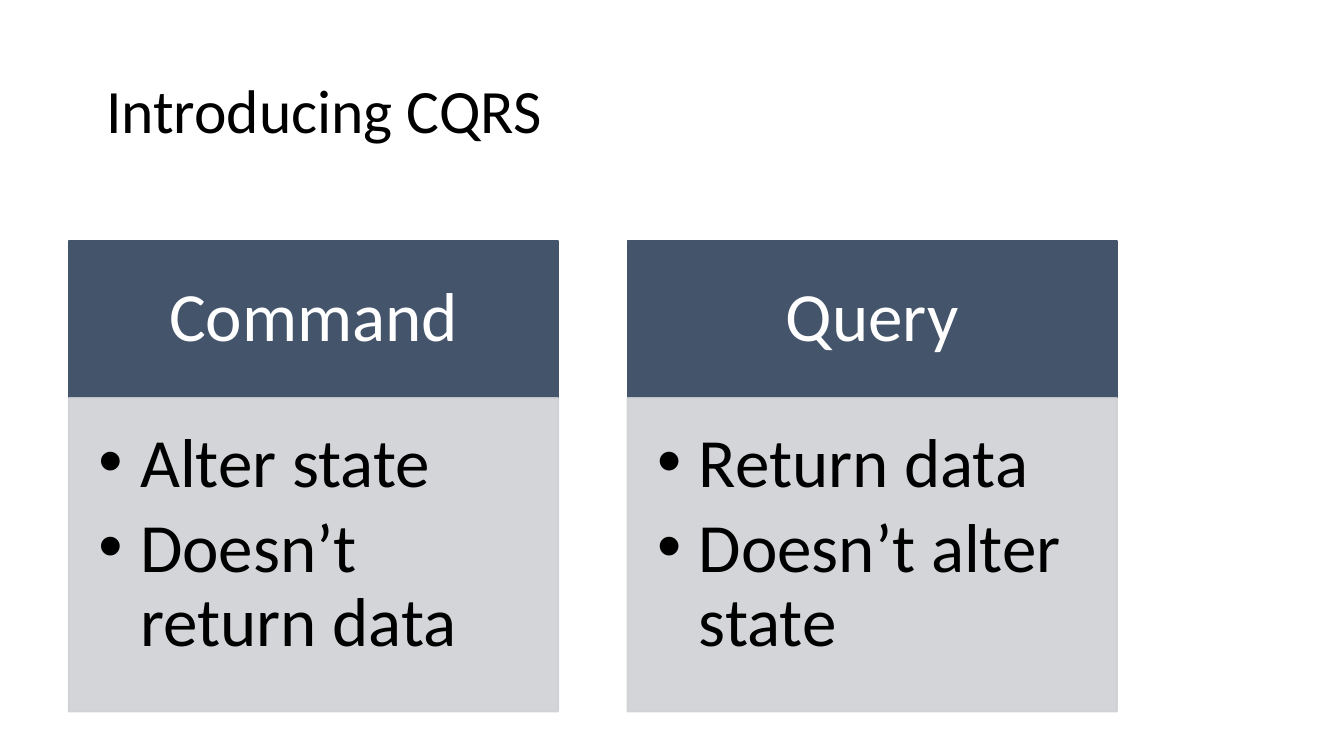
from lxml import etree
from pptx import Presentation
from pptx.dml.color import RGBColor
from pptx.enum.shapes import MSO_SHAPE
from pptx.enum.text import MSO_ANCHOR, MSO_AUTO_SIZE, PP_ALIGN
from pptx.oxml.ns import qn
from pptx.util import Cm, Pt

RECTANGLE = MSO_SHAPE.RECTANGLE
TOP, MIDDLE = MSO_ANCHOR.TOP, MSO_ANCHOR.MIDDLE
LEFT, CENTER = PP_ALIGN.LEFT, PP_ALIGN.CENTER
NO_AUTOFIT = MSO_AUTO_SIZE.NONE

SLATE = RGBColor(0x44, 0x54, 0x6A)
PALE = RGBColor(0xCF, 0xD1, 0xD4)
WHITE = RGBColor(0xFF, 0xFF, 0xFF)
BLACK = RGBColor(0x00, 0x00, 0x00)

COLUMNS = [
    ("Command", ["Alter state", "Doesn’t return data"]),
    ("Query", ["Return data", "Doesn’t alter state"]),
]


def format_paragraph(para, size, color, align, space_after=0):
    para.alignment = align
    para.line_spacing = 0.9
    para.space_before = Pt(0)
    para.space_after = Pt(space_after)
    para.font.name = "Calibri"
    para.font.size = Pt(size)
    para.font.color.rgb = color


def add_bullet(para, indent):
    properties = para._p.get_or_add_pPr()
    properties.set("marL", str(indent))
    properties.set("indent", str(-indent))
    etree.SubElement(properties, qn("a:buFont"), typeface="Arial")
    etree.SubElement(properties, qn("a:buChar"), char="•")


def set_opacity(shape, percent):
    for color in shape._element.spPr.iter(qn("a:srgbClr")):
        etree.SubElement(color, qn("a:alpha"), val=str(percent * 1000))


def add_panel(page, left, top, width, height, color, anchor, insets):
    panel = page.shapes.add_shape(RECTANGLE, left, top, width, height)
    panel.shadow.inherit = False
    panel.fill.solid()
    panel.fill.fore_color.rgb = color
    panel.line.color.rgb = color
    panel.line.width = Pt(1)
    frame = panel.text_frame
    frame.word_wrap = True
    frame.vertical_anchor = anchor
    frame.margin_left, frame.margin_top, frame.margin_right, frame.margin_bottom = insets
    return panel


def place_title(page, text, left, top, width, height):
    title = page.shapes.title
    title.left, title.top, title.width, title.height = left, top, width, height
    frame = title.text_frame
    frame.text = text
    frame.auto_size = NO_AUTOFIT
    frame.vertical_anchor = MIDDLE
    format_paragraph(frame.paragraphs[0], 33, BLACK, LEFT)


def add_column(page, heading, points, left, top, width, height):
    header_height = Cm(2.97)
    header = add_panel(page, left, top, width, header_height, SLATE, MIDDLE,
                       (Cm(0.74), Cm(0.41), Cm(0.74), Cm(0.41)))
    header.text_frame.text = heading
    format_paragraph(header.text_frame.paragraphs[0], 37, WHITE, CENTER)

    body = add_panel(page, left, top + header_height, width, height - header_height,
                     PALE, TOP, (Cm(0.56), Cm(0.56), Cm(0.74), Cm(0.81)))
    set_opacity(body, 90)
    body.text_frame.text = "\n".join(points)
    for para in body.text_frame.paragraphs:
        para.level = 1
        add_bullet(para, Cm(0.79))
        format_paragraph(para, 37, BLACK, LEFT, space_after=5.5)


def main():
    deck = Presentation()
    deck.slide_width, deck.slide_height = Cm(25.4), Cm(14.28)
    page = deck.slides.add_slide(deck.slide_layouts[5])
    place_title(page, "Introducing CQRS", Cm(1.75), Cm(0.76), Cm(21.9), Cm(2.77))

    column_width, gap = Cm(9.25), Cm(1.31)
    for index, (heading, points) in enumerate(COLUMNS):
        left = Cm(1.3) + index * (column_width + gap)
        add_column(page, heading, points, left, Cm(4.55), column_width, Cm(8.89))
    deck.save("out.pptx")


if __name__ == "__main__":
    main()
